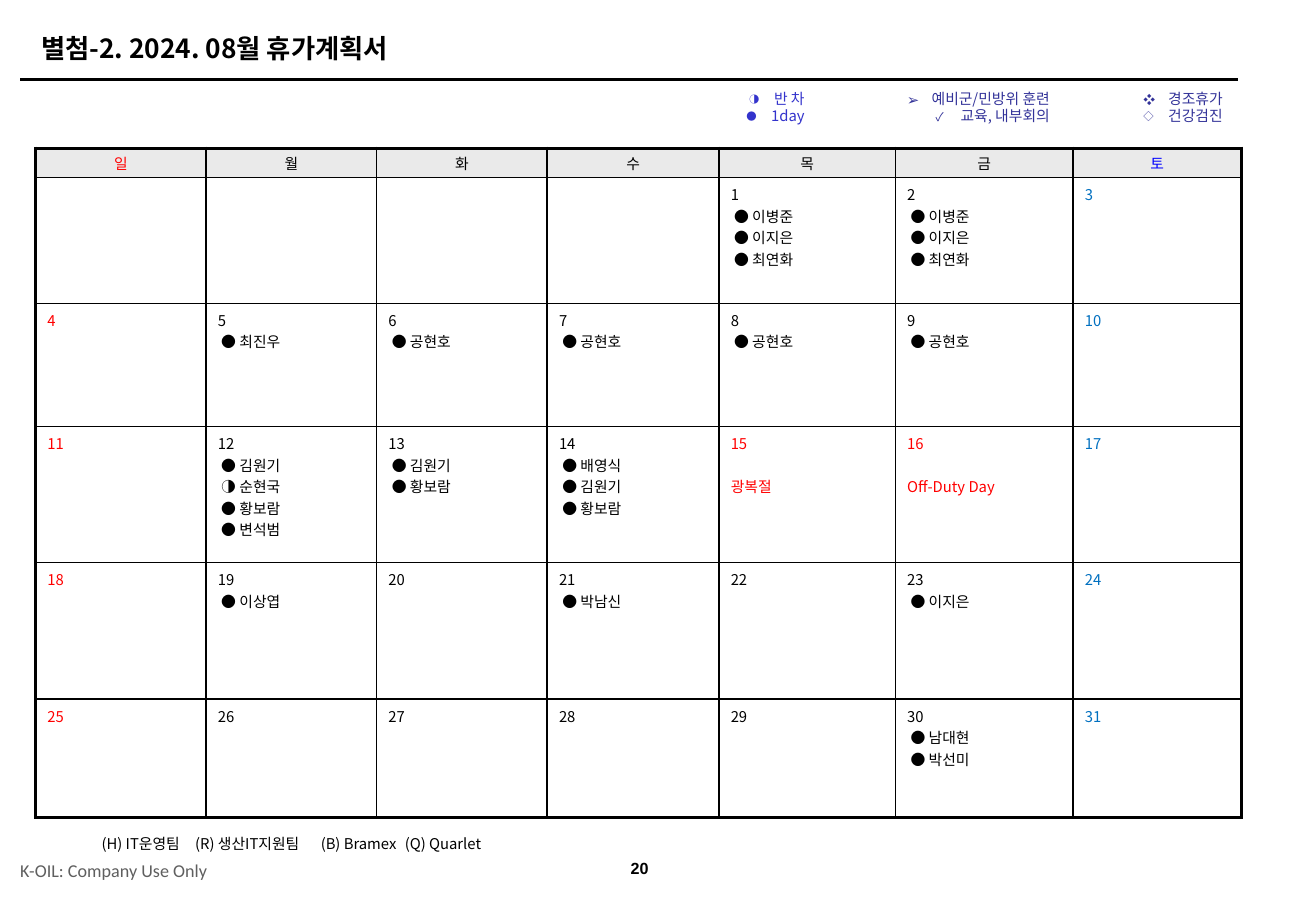
"""Builds the monthly leave calendar slide."""
import lxml.etree
import pptx
import pptx.dml.color
import pptx.enum.shapes
import pptx.enum.text
import pptx.oxml.ns
import pptx.util

Inches = pptx.util.Inches
Pt = pptx.util.Pt
Align = pptx.enum.text.PP_ALIGN
Anchor = pptx.enum.text.MSO_ANCHOR
qn = pptx.oxml.ns.qn
SubElement = lxml.etree.SubElement

COLORS = {
    "ink": "000000", "red": "FF0000", "saturday": "0070C0", "blue": "0000FF",
    "header": "EAEAEA", "paper": "FFFFFF", "gray": "5F5F5F",
    "violet": "3333CC", "indigo": "333399",
}
KOREAN = "Noto Sans CJK KR"
WEEKDAYS = "일월화수목금토"
COLUMN_WIDTHS = [1.44, 1.44, 1.44, 1.45, 1.49, 1.5, 1.42]
ROW_HEIGHTS = [0.25, 1.06, 1.04, 1.15, 1.15, 1]
FIRST_WEEKDAY = 4
LAST_DAY = 31
HOLIDAYS = {15: "광복절", 16: "Off-Duty Day"}
LEAVES = {
    1: ["● 이병준", "● 이지은", "● 최연화"],
    2: ["● 이병준", "● 이지은", "● 최연화"],
    5: ["● 최진우"],
    6: ["● 공현호"],
    7: ["● 공현호"],
    8: ["● 공현호"],
    9: ["● 공현호"],
    12: ["● 김원기", "◑ 순현국", "● 황보람", "● 변석범"],
    13: ["● 김원기", "● 황보람"],
    14: ["● 배영식", "● 김원기", "● 황보람"],
    19: ["● 이상엽"],
    21: ["● 박남신"],
    23: ["● 이지은"],
    30: ["● 남대현", "● 박선미"],
}
LEGENDS = [
    (5.87, 0.72, 1.02, "violet", [("◑", "반 차", 70), ("●", "1day", 70)]),
    (7.41, 0.72, 1.55, "indigo", [("➢", "예비군/민방위 훈련", 100), ("✓", "교육, 내부회의", 80)]),
    (8.59, 0.72, 1.83, "indigo", [("❖", "경조휴가", 80), ("◇", "건강검진", 70)]),
]
TEAMS = ["(H) IT운영팀", "(R) 생산IT지원팀", "(B) Bramex", "(Q) Quarlet"]
TEAM_STOPS = [0.79, 1.85, 2.56]


def rgb(color):
    """Return the named colour."""
    return pptx.dml.color.RGBColor.from_string(COLORS[color])


def style(para, size, color, font=KOREAN, bold=False):
    """Format every run of a paragraph."""
    for span in para.runs:
        span.font.size = Pt(size)
        span.font.bold = bold
        span.font.name = font
        span.font.color.rgb = rgb(color)
        SubElement(span._r.get_or_add_rPr(), qn("a:ea"), typeface=font)


def add_title(page, text):
    """Fill and place the title placeholder."""
    title = page.shapes.title
    title.left, title.top = Inches(0.25), Inches(0.22)
    title.width, title.height = Inches(9.9), Inches(0.37)
    frame = title.text_frame
    frame.text = text
    frame.auto_size = pptx.enum.text.MSO_AUTO_SIZE.NONE
    frame.vertical_anchor = Anchor.MIDDLE
    frame.paragraphs[0].alignment = Align.LEFT
    style(frame.paragraphs[0], 16, "ink", bold=True)


def add_rule(page):
    """Draw the line under the title."""
    rule = page.shapes.add_connector(
        pptx.enum.shapes.MSO_CONNECTOR.STRAIGHT,
        Inches(0.17), Inches(0.67), Inches(10.45), Inches(0.67))
    rule.line.color.rgb = rgb("ink")
    rule.line.width = Pt(1.5)
    SubElement(rule._element.spPr, qn("a:effectLst"))


def add_text(page, left, top, width, height, text, anchor=Anchor.MIDDLE):
    """Add a wrapping text box and return its frame."""
    box = page.shapes.add_textbox(Inches(left), Inches(top), Inches(width), Inches(height))
    frame = box.text_frame
    frame.word_wrap = True
    frame.vertical_anchor = anchor
    frame.text = text
    return frame


def add_legend(page, left, top, width, color, entries):
    """Add a right-aligned list of leave symbols."""
    text = "\n".join(label for _, label, _ in entries)
    frame = add_text(page, left, top, width, 0.4, text, Anchor.TOP)
    for para, (symbol, _, scale) in zip(frame.paragraphs, entries):
        para.alignment = Align.RIGHT
        para.line_spacing = 0.95
        properties = para._p.get_or_add_pPr()
        properties.set("marL", str(Inches(0.21)))
        properties.set("indent", str(-Inches(0.21)))
        tint = SubElement(properties, qn("a:buClr"))
        SubElement(tint, qn("a:srgbClr"), val=COLORS[color])
        SubElement(properties, qn("a:buSzPct"), val=str(scale * 1000))
        SubElement(properties, qn("a:buFont"), typeface=KOREAN)
        SubElement(properties, qn("a:buChar"), char=symbol)
        style(para, 9, color)


def add_teams(page):
    """Add the key of team letters on tab stops."""
    frame = add_text(page, 0.76, 7, 3.6, 0.24, "\t".join(TEAMS))
    para = frame.paragraphs[0]
    stops = SubElement(para._p.get_or_add_pPr(), qn("a:tabLst"))
    for stop in TEAM_STOPS:
        SubElement(stops, qn("a:tab"), pos=str(Inches(stop)), algn="l")
    style(para, 9, "ink")


def add_footer(page):
    """Add the confidentiality note and the page number."""
    note = add_text(page, 0.17, 7.19, 1.8, 0.31, "K-OIL: Company Use Only")
    note.margin_left = note.margin_right = 0
    style(note.paragraphs[0], 11, "gray", "Calibri")
    number = add_text(page, 5.13, 7.17, 0.54, 0.31, "20")
    number.paragraphs[0].alignment = Align.CENTER
    style(number.paragraphs[0], 9.8, "ink", "Arial", True)


def draw_borders(cell, row, column):
    """Draw cell borders, heavier along the table's outer edge."""
    outer = {
        "a:lnL": column == 0,
        "a:lnR": column == len(COLUMN_WIDTHS) - 1,
        "a:lnT": row == 0,
        "a:lnB": row == len(ROW_HEIGHTS) - 1,
    }
    properties = cell._tc.get_or_add_tcPr()
    for tag, heavy in outer.items():
        line = SubElement(properties, qn(tag), w=str(Pt(2 if heavy else 1)))
        SubElement(SubElement(line, qn("a:solidFill")), qn("a:srgbClr"), val=COLORS["ink"])


def fill_header(cell, column):
    """Write a weekday name."""
    cell.text = WEEKDAYS[column]
    cell.vertical_anchor = Anchor.MIDDLE
    cell.margin_top = cell.margin_bottom = Inches(0.03)
    para = cell.text_frame.paragraphs[0]
    para.alignment = Align.CENTER
    style(para, 9, {0: "red", 6: "blue"}.get(column, "ink"))


def fill_day(cell, day, column):
    """Write a date with its holiday or leaves."""
    holiday = HOLIDAYS.get(day)
    lines = [holiday] if holiday else [f" {leave}" for leave in LEAVES.get(day, [])]
    cell.text = "\n".join([str(day), *lines])
    color = "red" if holiday else {0: "red", 6: "saturday"}.get(column, "ink")
    for para in cell.text_frame.paragraphs:
        style(para, 9, color)
    if holiday:
        cell.text_frame.paragraphs[1].space_before = Pt(13)


def add_calendar(page):
    """Add the month as a table."""
    table = page.shapes.add_table(
        len(ROW_HEIGHTS), len(COLUMN_WIDTHS), Inches(0.3), Inches(1.25),
        Inches(sum(COLUMN_WIDTHS)), Inches(sum(ROW_HEIGHTS))).table
    table.first_row = table.horz_banding = False
    for column, width in enumerate(COLUMN_WIDTHS):
        table.columns[column].width = Inches(width)
    for row, height in enumerate(ROW_HEIGHTS):
        table.rows[row].height = Inches(height)
        for column in range(len(COLUMN_WIDTHS)):
            cell = table.cell(row, column)
            draw_borders(cell, row, column)
            cell.fill.solid()
            cell.fill.fore_color.rgb = rgb("paper" if row else "header")
            day = (row - 1) * 7 + column - FIRST_WEEKDAY + 1
            if row == 0:
                fill_header(cell, column)
            elif 1 <= day <= LAST_DAY:
                fill_day(cell, day, column)


def main():
    """Build and save the deck."""
    deck = pptx.Presentation()
    deck.slide_width, deck.slide_height = Inches(11.11), Inches(7.57)
    page = deck.slides.add_slide(deck.slide_layouts[5])
    add_title(page, "별첨-2. 2024. 08월 휴가계획서")
    add_rule(page)
    add_calendar(page)
    for legend in LEGENDS:
        add_legend(page, *legend)
    add_teams(page)
    add_footer(page)
    deck.save("out.pptx")


if __name__ == "__main__":
    main()
